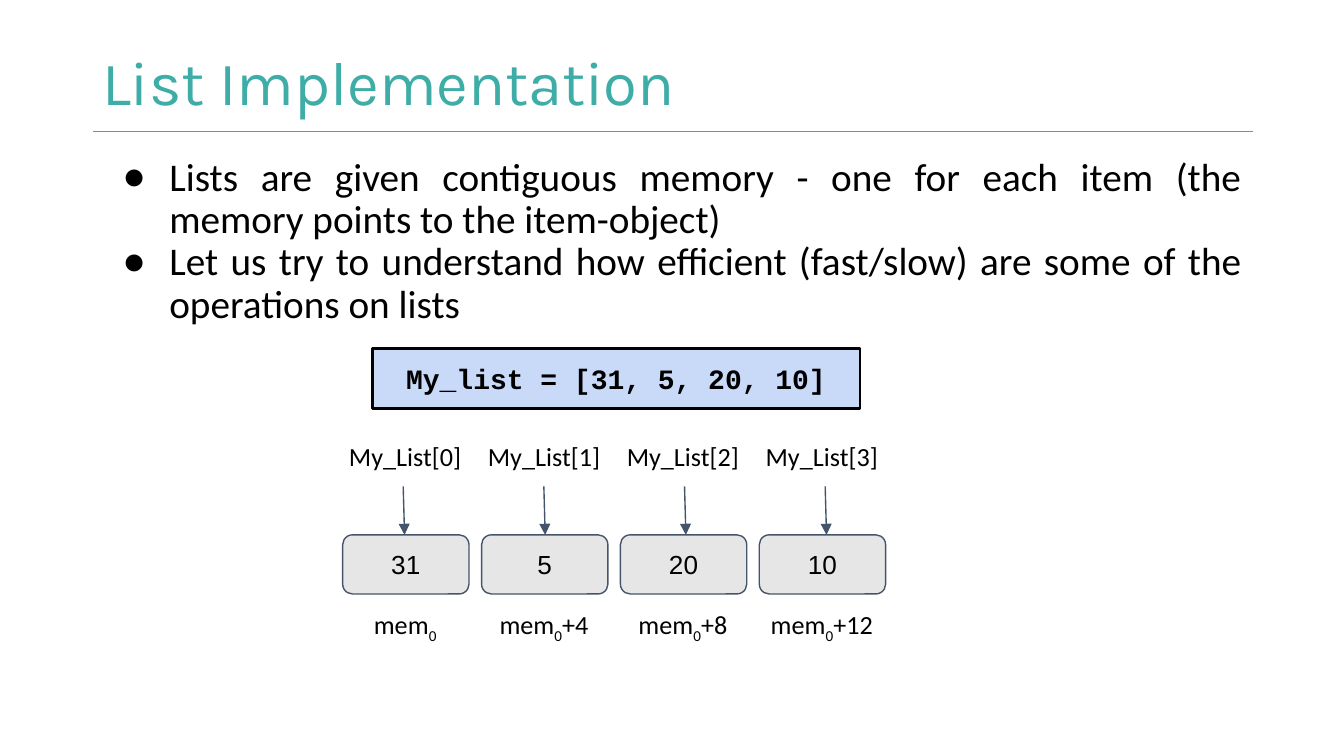
from lxml import etree
from pptx import Presentation
from pptx.dml.color import RGBColor
from pptx.enum.shapes import MSO_CONNECTOR, MSO_SHAPE
from pptx.enum.text import MSO_ANCHOR, MSO_AUTO_SIZE, PP_ALIGN
from pptx.oxml.ns import qn
from pptx.util import Inches, Pt

RECT, ROUND = MSO_SHAPE.RECTANGLE, MSO_SHAPE.ROUNDED_RECTANGLE
LINE = MSO_CONNECTOR.STRAIGHT
LEFT, CENTER, JUSTIFY = PP_ALIGN.LEFT, PP_ALIGN.CENTER, PP_ALIGN.JUSTIFY
TOP, MIDDLE = MSO_ANCHOR.TOP, MSO_ANCHOR.MIDDLE
FIXED = MSO_AUTO_SIZE.NONE

COLORS = {"teal": "3EADA7", "rule": "3DACA7", "black": "000000",
          "cell": "E7E6E6", "slate": "44546A", "code": "C9DAF8"}
FONTS = {
    "title": {"name": "Karla", "size": Pt(33)},
    "body": {"name": "Calibri", "size": Pt(21)},
    "label": {"name": "Calibri", "size": Pt(14)},
    "cell": {"name": "Arial", "size": Pt(14)},
    "code": {"name": "Courier New", "size": Pt(15), "bold": True},
}


def color(key):
    return RGBColor.from_string(COLORS[key])


def apply(item, values):
    for name, value in values.items():
        setattr(item, name, value)


class Deck:
    def __init__(self, slide):
        self.slide = slide

    def place(self, shape, box):
        names = ("left", "top", "width", "height")
        apply(shape, dict(zip(names, map(Inches, box))))

    def frame(self, shape, pad, anchor):
        side, edge = map(Inches, pad)
        apply(shape.text_frame, {
            "word_wrap": True, "auto_size": FIXED, "vertical_anchor": anchor,
            "margin_left": side, "margin_right": side,
            "margin_top": edge, "margin_bottom": edge})
        return shape.text_frame

    def run(self, para, text, font, ink="black", base=0):
        run = para.add_run()
        run.text = text
        apply(run.font, FONTS[font])
        run.font.color.rgb = color(ink)
        if base:
            run.font._element.set("baseline", str(base * 1000))

    def title(self, text, box):
        shape = self.slide.shapes.title
        self.place(shape, box)
        para = self.frame(shape, (0.07, 0.04), MIDDLE).paragraphs[0]
        apply(para, {"alignment": LEFT, "line_spacing": 0.9})
        self.run(para, text, "title", "teal")

    def bullets(self, items, box):
        shape = self.slide.placeholders[1]
        self.place(shape, box)
        frame = self.frame(shape, (0.07, 0.04), TOP)
        for i, text in enumerate(items):
            para = frame.add_paragraph() if i else frame.paragraphs[0]
            apply(para, {"alignment": JUSTIFY, "line_spacing": 0.9,
                         "space_before": Pt(0 if i else 8)})
            props = para._p.get_or_add_pPr()
            props.set("marL", str(Inches(0.5)))
            props.set("indent", str(Inches(-0.35)))
            ink = etree.SubElement(props, qn("a:buClr"))
            etree.SubElement(ink, qn("a:srgbClr"), val=COLORS["black"])
            etree.SubElement(props, qn("a:buChar"), char="●")
            self.run(para, text, "body")

    def label(self, parts, box):
        shape = self.slide.shapes.add_textbox(*map(Inches, box))
        para = self.frame(shape, (0.1, 0.1), TOP).paragraphs[0]
        para.alignment = CENTER
        for text, base in parts:
            self.run(para, text, "label", base=base)

    def box(self, kind, text, box, font, fill, edge, width, anchor):
        shape = self.slide.shapes.add_shape(kind, *map(Inches, box))
        shape.shadow.inherit = False
        shape.fill.solid()
        shape.fill.fore_color.rgb = color(fill)
        shape.line.color.rgb = color(edge)
        shape.line.width = Pt(width)
        para = self.frame(shape, (0.1, 0.1), anchor).paragraphs[0]
        para.alignment = CENTER
        self.run(para, text, font)

    def line(self, start, end, ink, arrow=False):
        ends = map(Inches, (*start, *end))
        shape = self.slide.shapes.add_connector(LINE, *ends)
        shape.line.color.rgb = color(ink)
        shape.line.width = Pt(0.75)
        if arrow:
            stroke = shape.line._get_or_add_ln()
            etree.SubElement(stroke, qn("a:tailEnd"), type="triangle")
        etree.SubElement(shape._element.spPr, qn("a:effectLst"))


def main():
    prs = Presentation()
    wide = Inches(10)
    apply(prs, {"slide_width": wide, "slide_height": wide * 9 // 16})
    deck = Deck(prs.slides.add_slide(prs.slide_layouts[1]))

    deck.line((0.69, 0.98), (9.32, 0.98), "rule")
    deck.title("List Implementation", (0.69, 0.3, 7.75, 0.68))
    deck.bullets([
        "Lists are given contiguous memory - one for each item "
        "(the memory points to the item-object)",
        "Let us try to understand how efficient (fast/slow) "
        "are some of the operations on lists",
    ], (0.69, 1.13, 8.62, 1.35))

    values = [31, 5, 20, 10]
    deck.box(RECT, f"My_list = {values}", (2.77, 2.59, 3.63, 0.45),
             "code", "code", "black", 1.5, TOP)

    pitch = 3.1 / 3
    step = 3.14 / 3
    for i, value in enumerate(values):
        left = 2.48 + i * pitch
        mid = 3 + i * step
        deck.label([(f"My_List[{i}]", 0)], (left, 3.18, 1.07, 0.44))
        deck.line((mid, 3.62), (mid + 0.01, 3.98), "slate", arrow=True)
        deck.box(ROUND, str(value), (left + 0.07, 3.98, 0.94, 0.44),
                 "cell", "cell", "slate", 0.75, MIDDLE)
        parts = [("mem", 0), ("0", -25)]
        if i:
            parts.append((f"+{4 * i}", 0))
        deck.label(parts, (left, 4.43, 1.07, 0.44))

    prs.save("out.pptx")


if __name__ == "__main__":
    main()
